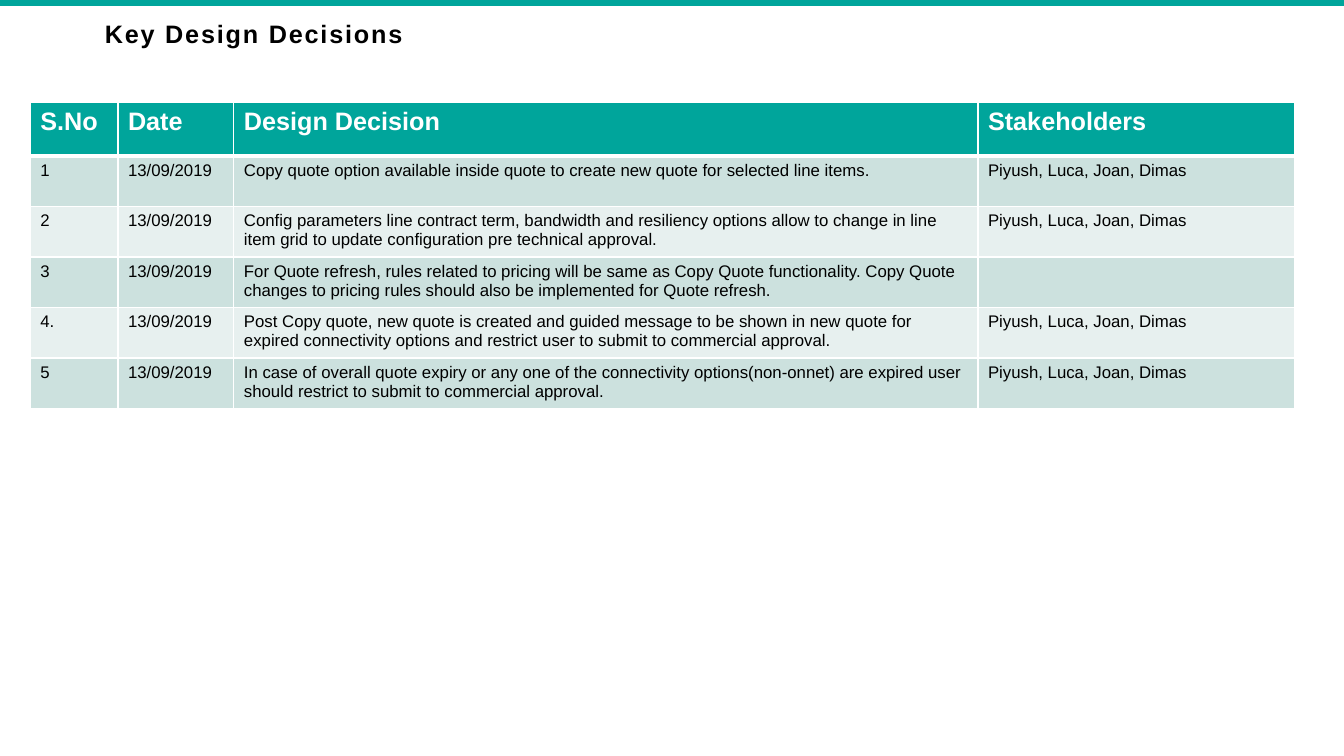
import pptx
import pptx.util
from lxml import etree
from pptx.dml.color import RGBColor
from pptx.enum.shapes import MSO_SHAPE
from pptx.enum.text import MSO_ANCHOR
from pptx.oxml.ns import qn
from pptx.util import Inches, Pt

TITLE = "Key Design Decisions"
HEADINGS = ("S.No", "Date", "Design Decision", "Stakeholders")
DATE = "13/09/2019"
TEAM = "Piyush, Luca, Joan, Dimas"
DECISIONS = [
    ("1", DATE, "Copy quote option available inside quote to create new quote for "
     "selected line items.", TEAM),
    ("2", DATE, "Config parameters line contract term, bandwidth and resiliency options "
     "allow to change in line item grid to update configuration pre technical approval.", TEAM),
    ("3", DATE, "For Quote refresh, rules related to pricing will be same as Copy Quote "
     "functionality. Copy Quote changes to pricing rules should also be implemented for "
     "Quote refresh.", ""),
    ("4.", DATE, "Post Copy quote, new quote is created and guided message to be shown in new "
     "quote for expired connectivity options and restrict user to submit to commercial "
     "approval.", TEAM),
    ("5", DATE, "In case of overall quote expiry or any one of the connectivity "
     "options(non-onnet) are expired user should restrict to submit to commercial "
     "approval.", TEAM),
]

TEAL = RGBColor(0x00, 0xA5, 0x9B)
BAND_DARK = RGBColor(0xCC, 0xE1, 0xDE)
BAND_LIGHT = RGBColor(0xE7, 0xF0, 0xEF)
WHITE = RGBColor(0xFF, 0xFF, 0xFF)
BLACK = RGBColor(0x00, 0x00, 0x00)

SLIDE_WIDTH, SLIDE_HEIGHT = 13.33, 7.5
COLUMN_WIDTHS = (0.87, 1.15, 7.38, 3.14)
HEADER_HEIGHT, DECISION_HEIGHT = 0.53, 0.5


def write(frame, text, size=12, color=BLACK, bold=False, spacing=None):
    """Put text in a frame; spacing is the letter spacing in points."""
    run = frame.paragraphs[0].add_run()
    run.text = text
    run.font.name = "Arial"
    run.font.size = Pt(size)
    run.font.bold = bold
    run.font.color.rgb = color
    if spacing:
        run._r.get_or_add_rPr().set("spc", str(round(spacing * 100)))


def add_borders(cell, **widths):
    """Draw white cell borders; keys are the sides L, R, T, B, values are points."""
    properties = cell._tc.get_or_add_tcPr()
    for side, width in widths.items():
        line = etree.SubElement(properties, qn(f"a:ln{side}"), w=str(Pt(width)))
        fill = etree.SubElement(line, qn("a:solidFill"))
        etree.SubElement(fill, qn("a:srgbClr"), val=str(WHITE))


def add_top_bar(slide):
    bar = slide.shapes.add_shape(MSO_SHAPE.RECTANGLE, 0, 0, Inches(SLIDE_WIDTH), Inches(0.06))
    bar.shadow.inherit = False
    bar.fill.solid()
    bar.fill.fore_color.rgb = TEAL
    bar.line.fill.background()


def add_title(slide):
    frame = slide.shapes.add_textbox(
        Inches(0.21), Inches(0.15), Inches(11.5), Inches(0.37)).text_frame
    frame.word_wrap = True
    frame.vertical_anchor = MSO_ANCHOR.MIDDLE
    frame.margin_left = Inches(0.83)
    frame.margin_top = frame.margin_right = frame.margin_bottom = 0
    write(frame, TITLE, size=18, bold=True, spacing=1.3)


def add_decision_table(slide):
    rows = [HEADINGS, *DECISIONS]
    height = HEADER_HEIGHT + DECISION_HEIGHT * len(DECISIONS)
    table = slide.shapes.add_table(
        len(rows), len(HEADINGS), Inches(0.3), Inches(1.02),
        Inches(sum(COLUMN_WIDTHS)), Inches(height)).table
    for column, width in zip(table.columns, COLUMN_WIDTHS):
        column.width = Inches(width)

    for row_index, row in enumerate(rows):
        is_header = row_index == 0
        table.rows[row_index].height = Inches(HEADER_HEIGHT if is_header else DECISION_HEIGHT)
        band = TEAL if is_header else (BAND_LIGHT, BAND_DARK)[row_index % 2]
        text_format = dict(size=18, color=WHITE, bold=True) if is_header else {}
        for column_index, text in enumerate(row):
            cell = table.cell(row_index, column_index)
            add_borders(cell, L=1, R=1, T=3 if row_index == 1 else 1, B=3 if is_header else 1)
            cell.fill.solid()
            cell.fill.fore_color.rgb = band
            if text:
                write(cell.text_frame, text, **text_format)


def main():
    deck = pptx.Presentation()
    deck.slide_width = Inches(SLIDE_WIDTH)
    deck.slide_height = Inches(SLIDE_HEIGHT)
    slide = deck.slides.add_slide(deck.slide_layouts[6])
    add_top_bar(slide)
    add_title(slide)
    add_decision_table(slide)
    deck.save("out.pptx")


if __name__ == "__main__":
    main()
